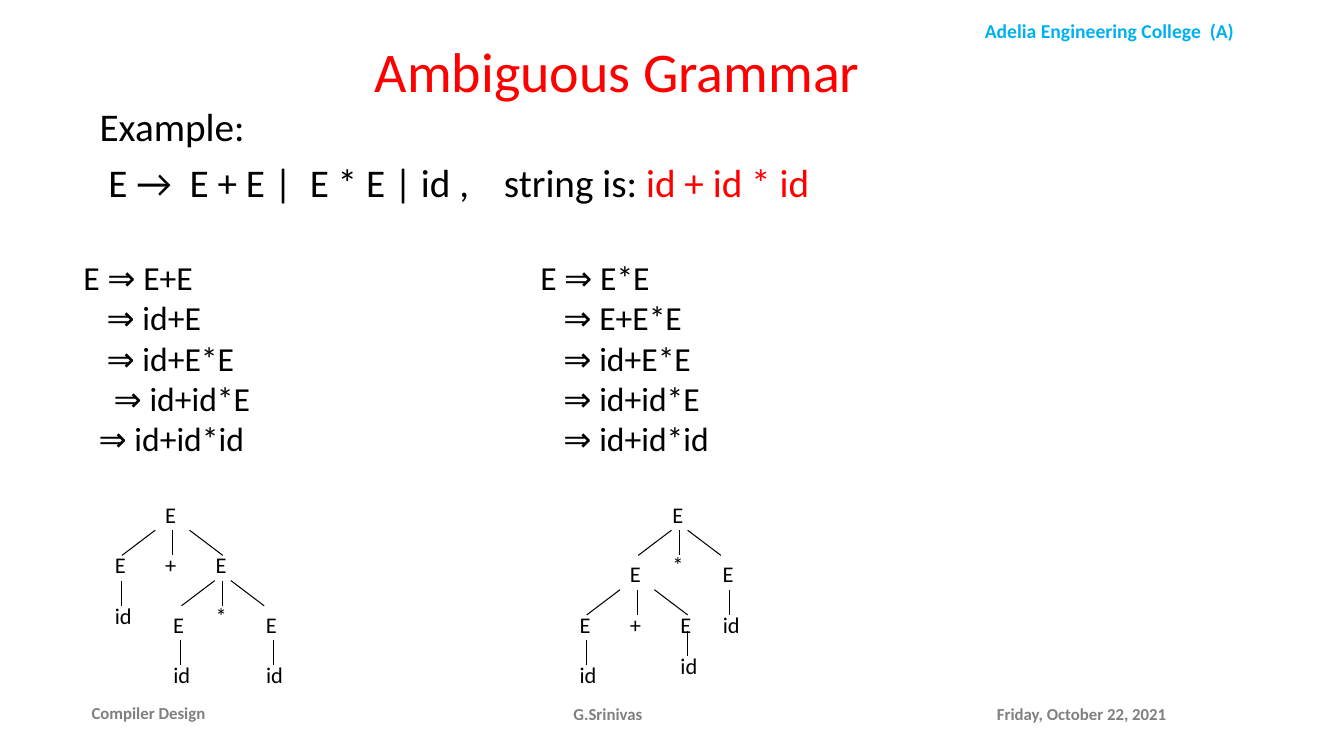
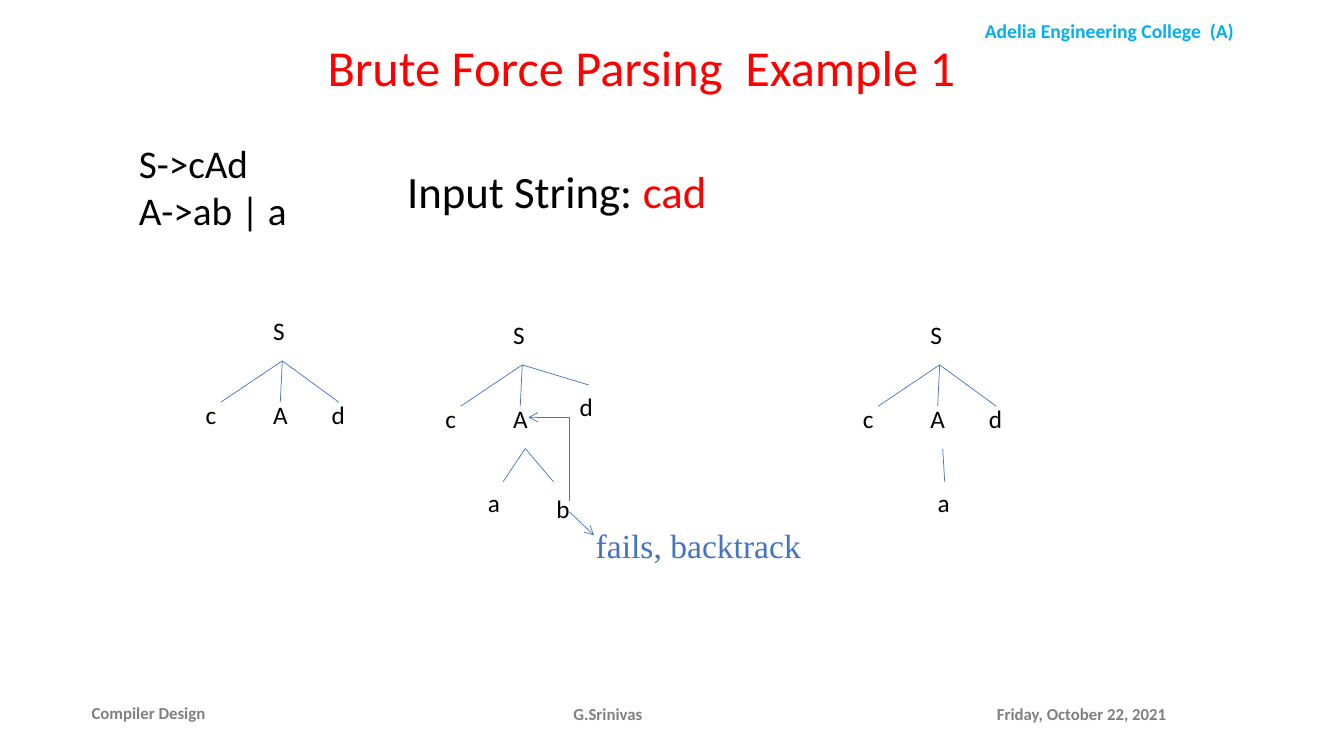
from dataclasses import dataclass
from typing import NamedTuple

from lxml import etree
from pptx import Presentation
from pptx.dml.color import RGBColor
from pptx.enum.shapes import MSO_CONNECTOR
from pptx.enum.text import MSO_ANCHOR, PP_ALIGN
from pptx.oxml.ns import qn
from pptx.util import Inches, Pt

STRAIGHT, ELBOW = MSO_CONNECTOR.STRAIGHT, MSO_CONNECTOR.ELBOW
LEFT, CENTER, JUSTIFY = PP_ALIGN.LEFT, PP_ALIGN.CENTER, PP_ALIGN.JUSTIFY
TOP, MIDDLE = MSO_ANCHOR.TOP, MSO_ANCHOR.MIDDLE
BLACK, RED, BLUE, SKY, GRAY = "000000", "FF0000", "4472C4", "00B0F0", "808080"


class Box(NamedTuple):
    x: float
    y: float
    w: float
    h: float


class Ray(NamedTuple):
    x1: float
    y1: float
    x2: float
    y2: float


class Line(NamedTuple):
    text: str
    mark: str = ""
    indent: float = 0
    tab: float = 0


class Node(NamedTuple):
    text: str
    x: float
    y: float
    rays: tuple[Ray, ...] = ()


@dataclass(frozen=True)
class Style:
    size: float
    color: str = BLACK
    bold: bool = False
    face: str = "Calibri"
    align: int = LEFT
    anchor: int = TOP
    wrap: bool = False
    space: float = 0
    pitch: float = 1


@dataclass(frozen=True)
class Look:
    style: Style
    high: float
    wide: dict[str, float]
    color: str
    width: float


HEAD = Style(14, SKY, True, align=CENTER, wrap=True)
FOOT = Style(12, GRAY, True, anchor=MIDDLE, wrap=True)
FOOT_MID = Style(12, GRAY, True, align=CENTER, anchor=MIDDLE, wrap=True)
FOOT_JUST = Style(12, GRAY, True, align=JUSTIFY, anchor=MIDDLE, wrap=True)
BODY = Style(28, wrap=True, space=10, pitch=0.9)
STEPS, RULES, INPUT = Style(24), Style(28), Style(32)
NOTE = Style(24, BLUE, face="Times New Roman", wrap=True)

FRAME = (
    (Box(9.09, 0.14, 3.83, 0.34), "Adelia Engineering College  (A)", HEAD),
    (Box(0.81, 6.87, 2.11, 0.4), "Compiler Design", FOOT_JUST),
    (Box(9.79, 6.88, 2.73, 0.4), "Friday, October 22, 2021", FOOT),
    (Box(4.53, 6.88, 3, 0.4), "G.Srinivas", FOOT_MID),
)

PARSE = Look(Style(16), 0.37,
             {"E": 0.34, "+": 0.33, "*": 0.31, "id": 0.38}, BLACK, 0.75)
BRUTE = Look(Style(18), 0.5,
             {"S": 0.39, "A": 0.45, "a": 0.35, "b": 0.37, "c": 0.35, "d": 0.37},
             BLUE, 0.5)


def paint(code: str) -> RGBColor:
    return RGBColor.from_string(code)


def write(shapes, box: Box, lines: list[Line], style: Style) -> None:
    frame = shapes.add_textbox(*map(Inches, box)).text_frame
    frame.word_wrap = style.wrap
    frame.vertical_anchor = style.anchor
    for place, line in enumerate(lines):
        para = frame.add_paragraph() if place else frame.paragraphs[0]
        para.alignment = style.align
        para.line_spacing = style.pitch
        para.space_before = Pt(style.space)
        font = para.font
        font.name, font.size, font.bold = style.face, Pt(style.size), style.bold
        font.color.rgb = paint(style.color)
        para.add_run().text = line.text
        if line.mark:
            run = para.add_run()
            run.text = line.mark
            run.font.color.rgb = paint(RED)
        props = para._p.get_or_add_pPr()
        if line.indent:
            props.set("marL", str(Inches(line.indent)))
        if line.tab:
            tabs = etree.Element(qn("a:tabLst"))
            etree.SubElement(tabs, qn("a:tab"),
                             pos=str(Inches(line.tab)), algn="l")
            props.insert_element_before(tabs, "a:defRPr", "a:extLst")


def draw(shapes, ray: Ray, color: str, width: float,
         arrow: bool = False, kind: int = STRAIGHT):
    link = shapes.add_connector(kind, *map(Inches, ray))
    link.line.color.rgb = paint(color)
    link.line.width = Pt(width)
    props = link.element.spPr
    if arrow:
        etree.SubElement(props.find(qn("a:ln")), qn("a:tailEnd"), type="arrow")
    etree.SubElement(props, qn("a:effectLst"))
    return link


def turn(shapes, ray: Ray, color: str, width: float) -> None:
    props = draw(shapes, ray, color, width, True, ELBOW).element.spPr
    props.find(qn("a:xfrm")).set("rot", str(270 * 60000))
    props.find(qn("a:prstGeom")).set("prst", "bentConnector2")


def plant(slide, nodes: list[Node], look: Look) -> None:
    shapes = slide.shapes.add_group_shape().shapes
    for node in nodes:
        box = Box(node.x, node.y, look.wide[node.text], look.high)
        write(shapes, box, [Line(node.text)], look.style)
        for ray in node.rays:
            spot = Ray(node.x + ray.x1, node.y + ray.y1,
                       node.x + ray.x2, node.y + ray.y2)
            draw(shapes, spot, look.color, look.width)


def stem(top: float = 0.34) -> tuple[Ray, ...]:
    return (Ray(0.17, top, 0.17, top + 0.25),)


def fan(near: float) -> tuple[Ray, ...]:
    return tuple(Ray(0.17 + side * near, 0.34, 0.17 + side * (near + 0.33), 0.59)
                 for side in (-1, 0, 1))


def sprout(x: float, *ends: tuple[float, float]) -> tuple[Ray, ...]:
    return tuple(Ray(x, 0.5, x + dx, 0.5 + dy) for dx, dy in ends)


def crown(x: float, y: float, last: tuple[float, float] = (0.58, 0.83),
          tip: tuple[float, float] = (0.56, 0.41),
          twigs: tuple[Ray, ...] = ()) -> list[Node]:
    return [
        Node("S", x, y, sprout(0.19, (-0.61, 0.41), (-0.02, 0.41), tip)),
        Node("c", x - 0.67, y + 0.83),
        Node("A", x, y + 0.83, twigs),
        Node("d", x + last[0], y + last[1]),
    ]


def start(deck, title: str, box: Box, size: float):
    slide = deck.slides.add_slide(deck.slide_layouts[6])
    for spot, text, style in FRAME:
        write(slide.shapes, spot, [Line(text)], style)
    write(slide.shapes, box, [Line(title)], Style(size, RED))
    return slide


def grammar(deck) -> None:
    slide = start(deck, "Ambiguous Grammar", Box(3.62, 0.31, 5.06, 0.77), 40)
    write(slide.shapes, Box(0.89, 1.02, 11.5, 1.56), [
        Line("Example:"),
        Line(" E →  E + E |  E * E | id ,\tstring is: ", "id + id * id", tab=4.01),
    ], BODY)
    write(slide.shapes, Box(0.73, 2.5, 4.23, 2.12), [
        Line("E ⇒ E+E"),
        Line("⇒ id+E", indent=0.23),
        Line("⇒ id+E*E", indent=0.23),
        Line("⇒ id+id*E", indent=0.3),
        Line("⇒ id+id*id", indent=0.15),
    ], STEPS)
    tails = ("E+E*E", "id+E*E", "id+id*E", "id+id*id")
    write(slide.shapes, Box(5.26, 2.5, 1.92, 2.12),
          [Line("E ⇒ E*E")] + [Line(f"⇒ {tail}", indent=0.23) for tail in tails],
          STEPS)
    plant(slide, [
        Node("E", 1.54, 4.92, fan(0.17)),
        Node("E", 1.04, 5.42, stem()),
        Node("+", 1.54, 5.42),
        Node("E", 2.04, 5.42, fan(0.08)),
        Node("id", 1.04, 5.92),
        Node("E", 1.62, 6.01, stem()),
        Node("*", 2.04, 5.92),
        Node("E", 2.54, 6.01, stem()),
        Node("id", 1.62, 6.51),
        Node("id", 2.54, 6.51),
    ], PARSE)
    plant(slide, [
        Node("E", 6.57, 4.92, fan(0.08)),
        Node("E", 6.15, 5.51, fan(0.17)),
        Node("*", 6.57, 5.42),
        Node("E", 7.07, 5.51, stem()),
        Node("E", 5.65, 6.01, stem()),
        Node("+", 6.15, 6.01),
        Node("E", 6.65, 6.01, stem(0.25)),
        Node("id", 7.07, 6.01),
        Node("id", 5.65, 6.51),
        Node("id", 6.65, 6.42),
    ], PARSE)


def force(deck) -> None:
    slide = start(deck, "Brute Force Parsing  Example 1",
                  Box(3.15, 0.31, 6.49, 0.71), 36)
    shapes = slide.shapes
    write(shapes, Box(5.81, 5.16, 2.42, 0.5), [Line("fails, backtrack")], NOTE)
    write(shapes, Box(1.28, 1.33, 1.69, 1.04),
          [Line("S->cAd"), Line("A->ab | a")], RULES)
    write(shapes, Box(3.94, 1.58, 3.2, 0.64), [Line("Input String: ", "cad")], INPUT)
    plant(slide, crown(2.61, 3.08), BRUTE)
    fork = sprout(0.22, (-0.22, 0.33), (0.28, 0.33))
    plant(slide, crown(4.99, 3.12, (0.66, 0.71), (0.66, 0.2), fork)
          + [Node("a", 4.74, 4.79), Node("b", 5.42, 4.84)], BRUTE)
    plant(slide, crown(9.13, 3.12, twigs=sprout(0.22, (0.02, 0.33)))
          + [Node("a", 9.2, 4.79)], BRUTE)
    turn(shapes, Ray(5.03, 4.76, 5.86, 4.35), BLUE, 0.5)
    draw(shapes, Ray(5.65, 5.08, 5.89, 5.31), BLUE, 0.5, True)


def main() -> None:
    deck = Presentation()
    deck.slide_width, deck.slide_height = Inches(13.33), Inches(7.5)
    grammar(deck)
    force(deck)
    deck.save("out.pptx")


if __name__ == "__main__":
    main()
